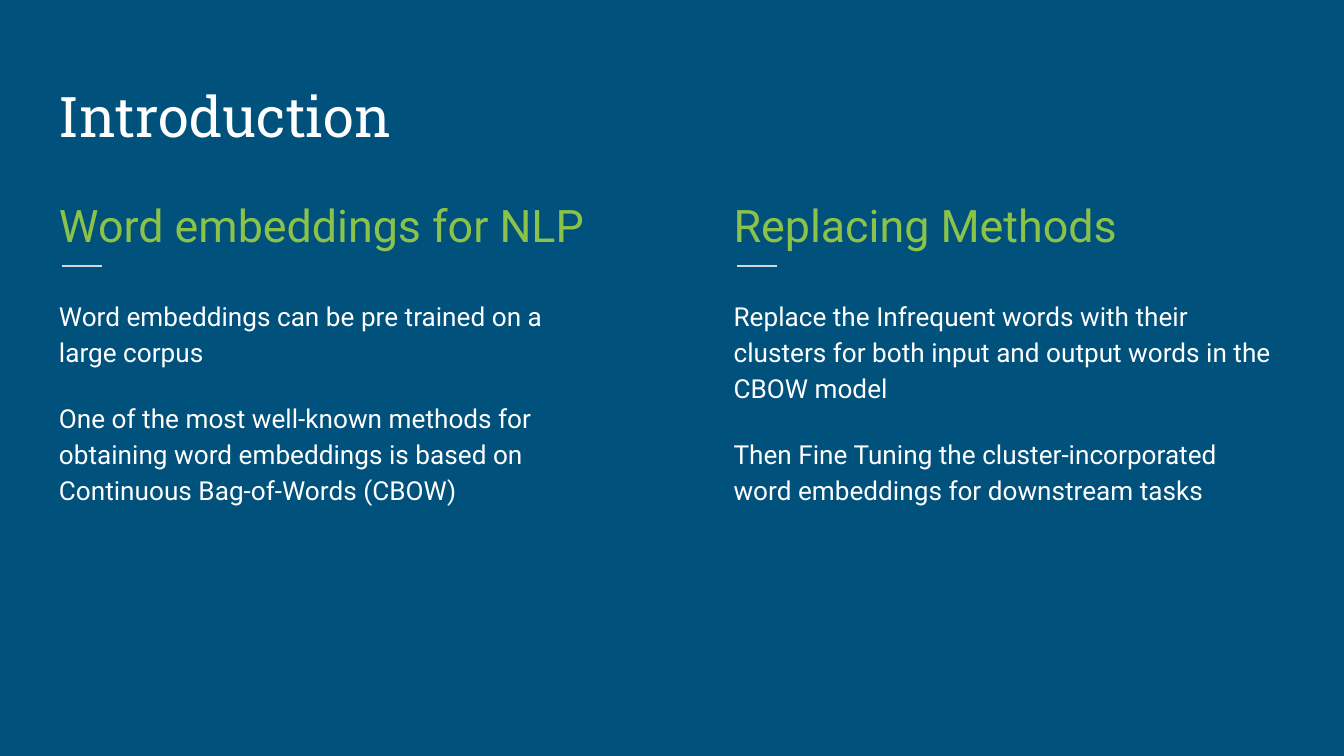
"""Build the introduction slide with two columns on word embeddings."""
from dataclasses import dataclass

from lxml.etree import SubElement
from pptx import Presentation
from pptx.dml.color import RGBColor
from pptx.enum.shapes import MSO_CONNECTOR
from pptx.enum.text import MSO_ANCHOR
from pptx.oxml.ns import qn
from pptx.util import Inches, Pt

TITLE = "Introduction"
COLUMNS = [
    ("Word embeddings for NLP", [
        "Word embeddings can be pre trained on a large corpus",
        "One of the most well-known methods for obtaining word embeddings "
        "is based on Continuous Bag-of-Words (CBOW)",
    ]),
    ("Replacing Methods", [
        "Replace the Infrequent words with their clusters for both input "
        "and output words in the CBOW model",
        "Then Fine Tuning the cluster-incorporated word embeddings "
        "for downstream tasks",
    ]),
]


@dataclass(frozen=True)
class Style:
    font: str
    size: int
    color: str
    line_spacing: float = 1.0
    space_after: int = 0


THEME = {
    "background": "00517C",
    "rule": "CFD8DC",
    "title": Style("Roboto Slab", 30, "FFFFFF"),
    "heading": Style("Roboto", 24, "8BC34A", 1.15, 16),
    "body": Style("Roboto", 14, "FFFFFF", 1.15),
}
WIDTH = 10
HEIGHT = WIDTH * 9 / 16
MARGIN = 0.34
COLUMN_WIDTH, COLUMN_STEP = 4.21, 5.02
INSET = 0.1
RULE_OFFSET, RULE_LENGTH, RULE_TOP = 0.12, 0.3, 1.98
PARAGRAPH_GAP = 16


def add_text(slide, box, texts, style, anchor=MSO_ANCHOR.TOP):
    shape = slide.shapes.add_textbox(*map(Inches, box))
    frame = shape.text_frame
    frame.word_wrap = True
    frame.vertical_anchor = anchor
    frame.margin_left = frame.margin_right = Inches(INSET)
    frame.margin_top = frame.margin_bottom = Inches(INSET)
    frame.text = "\n".join(texts)
    for index, paragraph in enumerate(frame.paragraphs):
        paragraph.line_spacing = style.line_spacing
        paragraph.space_before = Pt(PARAGRAPH_GAP if index else 0)
        paragraph.space_after = Pt(style.space_after)
        paragraph.font.name = style.font
        paragraph.font.size = Pt(style.size)
        paragraph.font.color.rgb = RGBColor.from_string(style.color)


def add_rule(slide, left):
    top = Inches(RULE_TOP)
    rule = slide.shapes.add_connector(
        MSO_CONNECTOR.STRAIGHT, Inches(left), top, Inches(left + RULE_LENGTH), top)
    rule.line.color.rgb = RGBColor.from_string(THEME["rule"])
    rule.line.width = Pt(0.75)
    SubElement(rule.element.spPr, qn("a:effectLst"))


presentation = Presentation()
presentation.slide_width = Inches(WIDTH)
presentation.slide_height = Inches(HEIGHT)
slide = presentation.slides.add_slide(presentation.slide_layouts[6])
slide.background.fill.solid()
slide.background.fill.fore_color.rgb = RGBColor.from_string(THEME["background"])

add_text(slide, (MARGIN, 0.41, WIDTH - 2 * MARGIN, 0.8), [TITLE],
         THEME["title"], MSO_ANCHOR.BOTTOM)
for index, (heading, statements) in enumerate(COLUMNS):
    left = MARGIN + index * COLUMN_STEP
    add_text(slide, (left, 1.31, COLUMN_WIDTH, 0.57), [heading], THEME["heading"])
    add_rule(slide, left + RULE_OFFSET)
    add_text(slide, (left, 2.1, COLUMN_WIDTH, 3.01), statements, THEME["body"])

presentation.save("out.pptx")
